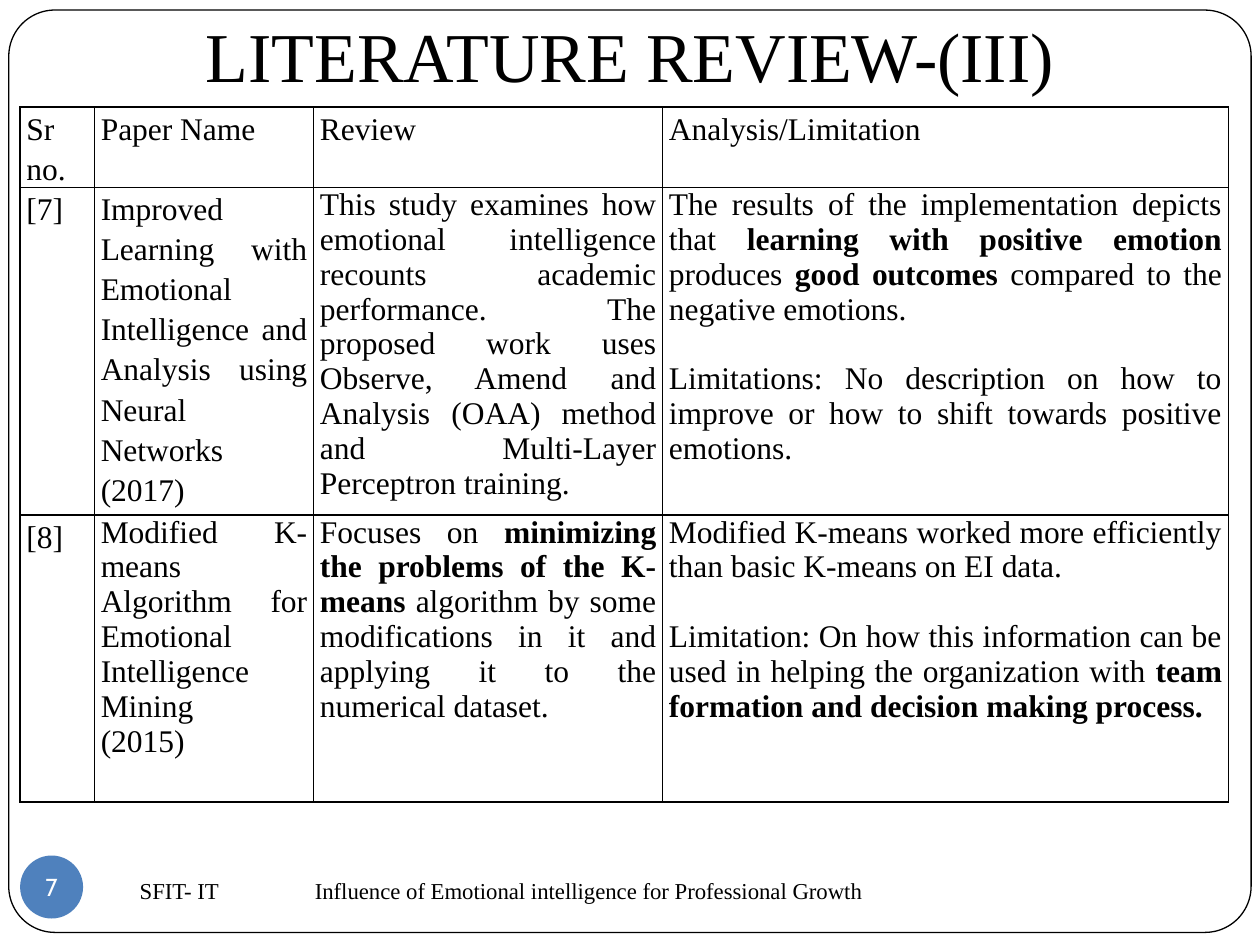
"""Build the literature review slide with its table of papers."""
from dataclasses import dataclass
from typing import Optional

from lxml.etree import SubElement
from pptx import Presentation
from pptx.dml.color import RGBColor
from pptx.enum.shapes import MSO_SHAPE as Shape
from pptx.enum.text import MSO_ANCHOR as Anchor, MSO_AUTO_SIZE as AutoSize, PP_ALIGN as Align
from pptx.oxml import parse_xml
from pptx.oxml.ns import nsdecls, qn
from pptx.util import Inches, Pt

COLORS = {"text": "000000", "line": "000000", "paper": "FFFFFF", "accent": "4F81BD"}
SERIF = "Times New Roman"
COLUMNS = (0.59, 1.74, 2.77, 4.49)
ROWS = (0.63, 2.6, 2.28)
LOOSE = 1.15


@dataclass
class Run:
    text: str
    bold: bool = False


@dataclass
class Line:
    runs: list[Run]
    spacing: Optional[float] = None
    before: float = 0


def plain(text: str, spacing: Optional[float] = None, before: float = 0) -> Line:
    return Line([Run(text)], spacing, before)


CELLS = [
    [[plain(name, LOOSE)] for name in ("Sr no.", "Paper Name", "Review", "Analysis/Limitation")],
    [
        [plain("[7]", LOOSE)],
        [
            plain("Improved Learning with Emotional Intelligence and Analysis using "
                  "Neural Networks", LOOSE),
            plain("(2017)", LOOSE),
        ],
        [plain("This study examines how emotional intelligence recounts academic performance. "
               "The proposed work uses Observe, Amend and Analysis (OAA) method and "
               "Multi-Layer Perceptron training.")],
        [
            Line([
                Run("The results of the implementation depicts that "),
                Run("learning with positive emotion ", True),
                Run("produces "),
                Run("good outcomes ", True),
                Run("compared to the negative emotions."),
            ]),
            plain("Limitations: No description on how to improve or how to shift towards "
                  "positive emotions.", before=20),
        ],
    ],
    [
        [plain("[8]", LOOSE)],
        [
            plain("Modified K-means Algorithm for Emotional"),
            plain("Intelligence Mining"),
            plain("(2015)"),
        ],
        [Line([
            Run("Focuses on "),
            Run("minimizing the problems of the K-means", True),
            Run(" algorithm by some modifications in it and applying it to the "
                "numerical dataset."),
        ])],
        [
            plain("Modified K-means worked more efficiently than basic K-means on EI data."),
            Line([
                Run("Limitation: On how this information can be used in helping the "
                    "organization with "),
                Run("team formation and decision making process.", True),
            ], before=20),
        ],
    ],
]


def color(name: str) -> RGBColor:
    return RGBColor.from_string(COLORS[name])


def apply(target, values: dict) -> None:
    for name, value in values.items():
        setattr(target, name, value)


def margins(side: float, end: float) -> dict:
    return {"margin_left": Inches(side), "margin_right": Inches(side),
            "margin_top": Inches(end), "margin_bottom": Inches(end)}


def place(shape, left: float, top: float, width: float, height: float) -> None:
    apply(shape, {"left": Inches(left), "top": Inches(top),
                  "width": Inches(width), "height": Inches(height)})


def format_font(font, size: float, name: str = SERIF, tint: str = "text",
                bold: bool = False) -> None:
    apply(font, {"size": Pt(size), "name": name, "bold": bold})
    font.color.rgb = color(tint)


def add_frame(slide) -> None:
    frame = slide.shapes.add_shape(Shape.ROUNDED_RECTANGLE, Inches(0.07), Inches(0.08),
                                   Inches(9.86), Inches(7.32))
    frame.adjustments[0] = 0.05
    frame.shadow.inherit = False
    frame.fill.solid()
    frame.fill.fore_color.rgb = color("paper")
    frame.line.color.rgb = color("line")
    frame.line.width = Pt(0.75)
    slide.shapes.title._element.addprevious(frame._element)


def add_title(slide) -> None:
    title = slide.shapes.title
    place(title, 0.29, 0, 9.42, 0.91)
    title.text_frame.text = "LITERATURE REVIEW-(III)"
    apply(title.text_frame, {**margins(0.1, 0.1), "vertical_anchor": Anchor.TOP,
                             "auto_size": AutoSize.NONE, "word_wrap": True})
    paragraph = title.text_frame.paragraphs[0]
    paragraph.alignment = Align.CENTER
    format_font(paragraph.runs[0].font, 40)


def add_page_number(slide) -> None:
    badge = slide.shapes.add_shape(Shape.OVAL, Inches(0.16), Inches(6.79),
                                   Inches(0.5), Inches(0.5))
    badge.shadow.inherit = False
    badge.fill.solid()
    badge.fill.fore_color.rgb = color("accent")
    badge.line.fill.background()
    badge.text_frame.text = "7"
    apply(badge.text_frame, {**margins(0, 0), "vertical_anchor": Anchor.MIDDLE})
    paragraph = badge.text_frame.paragraphs[0]
    paragraph.alignment = Align.CENTER
    format_font(paragraph.runs[0].font, 14, "Cabin", "paper")


def add_footer(slide) -> None:
    footer = slide.shapes.add_textbox(Inches(1.01), Inches(6.92), Inches(7.98), Inches(0.5))
    apply(footer.text_frame, {**margins(0.1, 0.04), "word_wrap": True,
                              "vertical_anchor": Anchor.TOP})
    paragraph = footer.text_frame.paragraphs[0]
    paragraph.text = "SFIT- IT\tInfluence of Emotional intelligence for Professional Growth"
    tabs = SubElement(paragraph._p.get_or_add_pPr(), qn("a:tabLst"))
    SubElement(tabs, qn("a:tab"), pos=str(Inches(1.39)), algn="l")
    format_font(paragraph.runs[0].font, 13)


def add_borders(cell) -> None:
    properties = cell._tc.get_or_add_tcPr()
    for index, side in enumerate("LRTB"):
        properties.insert(index, parse_xml(
            f'<a:ln{side} {nsdecls("a")} w="{Pt(1)}"><a:solidFill>'
            f'<a:srgbClr val="{COLORS["line"]}"/></a:solidFill></a:ln{side}>'))


def fill_cell(cell, lines: list[Line]) -> None:
    apply(cell, margins(0.05, 0))
    cell.fill.background()
    add_borders(cell)
    for index, line in enumerate(lines):
        frame = cell.text_frame
        paragraph = frame.add_paragraph() if index else frame.paragraphs[0]
        apply(paragraph, {"alignment": Align.JUSTIFY, "line_spacing": line.spacing,
                          "space_before": Pt(line.before)})
        for part in line.runs:
            run = paragraph.add_run()
            run.text = part.text
            format_font(run.font, 18, bold=part.bold)


def add_review_table(slide) -> None:
    table = slide.shapes.add_table(len(ROWS), len(COLUMNS), Inches(0.16), Inches(0.85),
                                   Inches(sum(COLUMNS)), Inches(sum(ROWS))).table
    apply(table, {"first_row": False, "horz_banding": False})
    for column, width in zip(table.columns, COLUMNS):
        column.width = Inches(width)
    for row, height, contents in zip(table.rows, ROWS, CELLS):
        row.height = Inches(height)
        for cell, lines in zip(row.cells, contents):
            fill_cell(cell, lines)


def main() -> None:
    presentation = Presentation()
    apply(presentation, {"slide_width": Inches(10), "slide_height": Inches(7.5)})
    slide = presentation.slides.add_slide(presentation.slide_layouts[5])
    for draw in (add_frame, add_page_number, add_review_table, add_footer, add_title):
        draw(slide)
    presentation.save("out.pptx")


if __name__ == "__main__":
    main()
